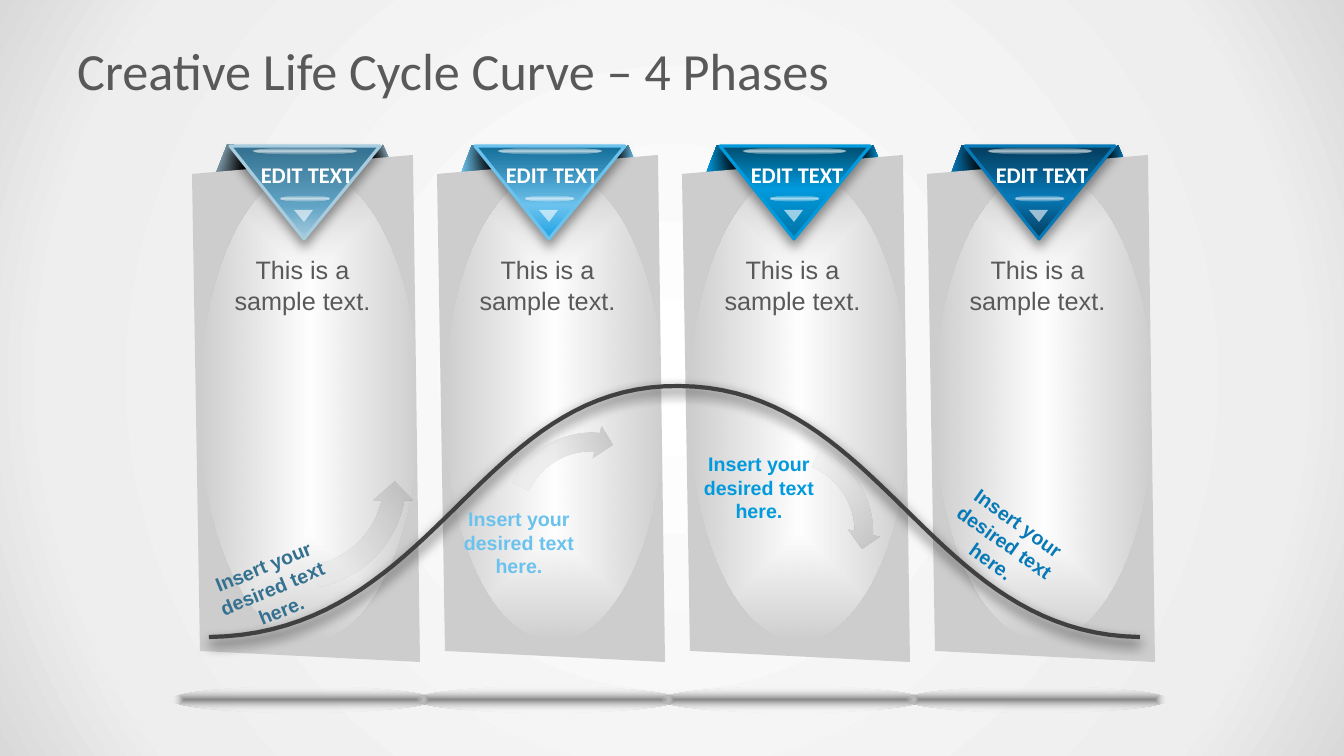
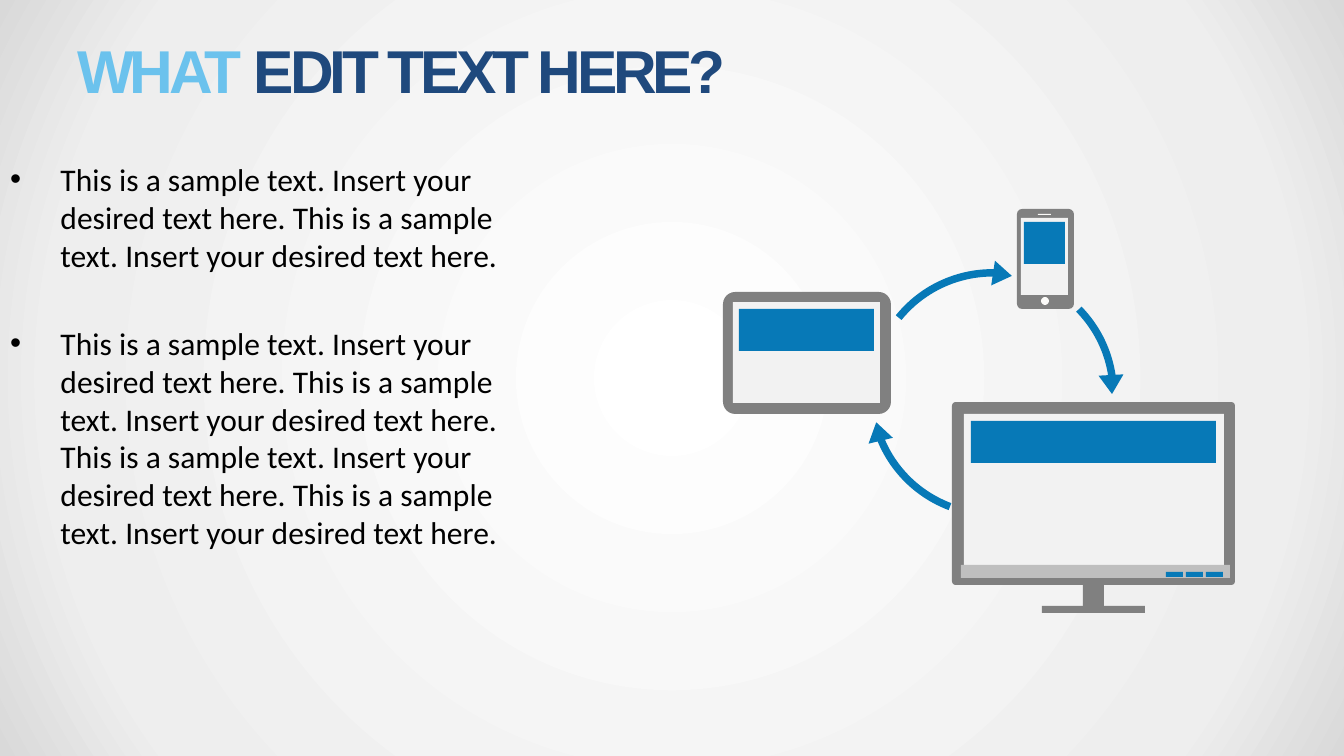
"""Build a four-phase life cycle curve slide and a connected devices slide."""
from lxml import etree
from pptx import Presentation
from pptx import util as u
from pptx.dml.color import RGBColor
from pptx.enum import shapes, text
from pptx.oxml import ns

PX = 914400 / 100.8
SHAPE = shapes.MSO_SHAPE
GREY, BLUE, SKY, PALE = "808080", "0779B7", "6BC2ED", "F2F2F2"
SAMPLE = "This is a sample text."
INSERT = "Insert your desired text here."


def paint(parent, at, stops, angle=None, path="shape"):
    """Insert a fill of (position, colour, alpha) stops: none, solid or gradient."""
    tag = ("a:noFill", "a:solidFill", "a:gradFill")[min(len(stops), 2)]
    fill = etree.Element(ns.qn(tag))
    parent.insert(at, fill)
    gradient = len(stops) > 1
    if gradient:
        gs_list = etree.SubElement(fill, ns.qn("a:gsLst"))
    for pos, colour, *alpha in stops:
        holder = fill
        if gradient:
            holder = etree.SubElement(gs_list, ns.qn("a:gs"), pos=str(pos * 1000))
        clr = etree.SubElement(holder, ns.qn("a:srgbClr"), val=colour)
        for a in alpha:
            etree.SubElement(clr, ns.qn("a:alpha"), val=str(a * 1000))
    if gradient and angle is not None:
        etree.SubElement(fill, ns.qn("a:lin"), ang=str(angle * 60000), scaled="0")
    elif gradient:
        centre = etree.SubElement(fill, ns.qn("a:path"), path=path)
        etree.SubElement(centre, ns.qn("a:fillToRect"), l="50000", t="50000", r="50000", b="50000")


def write(p, words, size, font, colour, bold=False):
    """Add one formatted run to a paragraph."""
    r = p.add_run()
    r.text = words
    r.font.size, r.font.name, r.font.bold = u.Pt(size), font, bold
    r.font.color.rgb = RGBColor.from_string(colour)
    return r


prs = Presentation()
prs.slide_width, prs.slide_height = round(1344 * PX), round(756 * PX)
master = prs.slide_master
master.background.fill.solid()
bg = master.element.find(".//" + ns.qn("p:bgPr"))
bg.remove(bg[0])
paint(bg, 0, [(0, "FFFFFF"), (81, "EEEEEE"), (100, "D9D9D9")], path="circle")

titles = [
    (5, [("Creative Life Cycle Curve – 4 Phases", 37.3, "Calibri", "595959", False, 0)]),
    (1, [("WHAT ", 43.2, "Arial", SKY, True, -300),
         ("EDIT TEXT HERE?", 43.2, "Arial", "1F497D", True, -300)]),
]
for layout, runs in titles:
    s = prs.slides.add_slide(prs.slide_layouts[layout])
    sp = s.shapes.title
    sp.left, sp.top, sp.width, sp.height = [round(v * PX) for v in (67, 30, 1210, 79)]
    tf = sp.text_frame
    tf.auto_size = text.MSO_AUTO_SIZE.NONE
    tf.vertical_anchor = text.MSO_ANCHOR.MIDDLE
    p = tf.paragraphs[0]
    p.alignment = text.PP_ALIGN.LEFT
    for *style, spacing in runs:
        r = write(p, *style)
        if spacing:
            r._r.get_or_add_rPr().set("spc", str(spacing))
curve_slide, device_slide = prs.slides

# Each piece: shapes, kind, box or points, stops, angle, extras
pieces, labels = [], []
tree = curve_slide.shapes
glow = [(0, "FFFFFF", 100), (100, "FFFFFF", 0)]
gloss = [(0, "FFFFFF", 70), (100, "FFFFFF", 0)]
phases = [
    ("A7CCDF", [(0, "34708F"), (64, "60A3C5"), (100, "A7CCDF")], 84, 20),
    (SKY, [(0, "136D99"), (64, SKY), (100, "1EA2E4")], 100, 0),
    ("019ADD", [(0, "004D6E"), (46, "019ADD"), (100, "0173A6")], 100, 0),
    (BLUE, [(0, "043C5C"), (55, BLUE), (100, "043C5C")], 100, 0),
]
for i, (accent, badge, dark, tilt) in enumerate(phases):
    dx = 245 * i
    fold = [(0, accent), (dark, "000000")]
    badge_edge = {"line": (accent, 2.25), "shadow": (40, 8, 5)}
    column = [
        ("outline", [(383, 145), (390, 161), (368, 162)], fold, 180 - tilt, {}),
        ("outline", [(227, 145), (216, 173), (250, 170), (242, 158), (234, 145)], fold, tilt, {}),
        ("outline", [(192, 174), (200, 651), (420, 662), (413, 155)], [(0, "CDCDCD")], None, {}),
        (SHAPE.OVAL, (200, 171, 218, 469), glow, None, {}),
        ("outline", [(230, 146), (380, 146), (304, 239)], badge, 90, badge_edge),
        (SHAPE.OVAL, (253, 148, 104, 7), gloss, None, {}),
        (SHAPE.OVAL, (280, 196, 50, 5), gloss, None, {}),
        ("outline", [(294, 210), (313, 210), (304, 222)], [(0, "FFFFFF", 60)], None, {}),
        (SHAPE.OVAL, (172, 687, 260, 26), [(0, GREY, 94), (100, "FFFFFF", 0)], None, {}),
    ]
    for kind, place, *look in column:
        if kind == "outline":
            place = [(x + dx, y) for x, y in place]
        else:
            place = (place[0] + dx, *place[1:])
        pieces.append((tree, kind, place, *look))
    labels += [((240 + dx, 156, 134, 37), 0, "EDIT TEXT", 16, "Calibri", "FFFFFF", True),
               ((213 + dx, 256, 179, 58), 0, SAMPLE, 18, "Arial", "595959", False)]

bends = [[(209, 637), (437, 634), (477, 384), (679, 386)],
         [(679, 386), (883, 387), (929, 634), (1140, 637)]]
curve = []
for bend in bends:
    for t in [n / 40 for n in range(41)]:
        weights = ((1 - t) ** 3, 3 * t * (1 - t) ** 2, 3 * t * t * (1 - t), t ** 3)
        curve.append([sum(k * c for k, c in zip(weights, axis)) for axis in zip(*bend)])
pieces.append((tree, "curve", curve, [], None, {"line": ("404040", 3), "shadow": (80, 9, 4)}))
for box, rot, flip in [((692, 437, 188, 188), 23.5, False), ((497, 426, 188, 188), 296.5, False),
                       ((185, 368, 229, 229), 168.9, True)]:
    pieces.append((tree, SHAPE.CIRCULAR_ARROW, box, [(16, "FFFFFF", 0), (100, GREY)], 40,
                   {"rot": rot, "flip": flip, "adj": (0.097, 7, 202.5, 161.47, 0.087)}))
for box, rot, colour in [((445, 488, 148, 109), 0, SKY), ((190, 550, 164, 76), 337.6, "34708F"),
                         ((923, 504, 164, 76), 35.4, BLUE), ((685, 433, 148, 109), 0, "019ADD")]:
    labels.append((box, rot, INSERT, 14, "Arial", colour, True))

tablet = [
    (SHAPE.ROUNDED_RECTANGLE, (723, 292, 168, 122), GREY, (0.1,)),
    (SHAPE.RECTANGLE, (733, 302, 147, 101), PALE, ()),
    (SHAPE.RECTANGLE, (739, 309, 135, 42), BLUE, ()),
]
phone = [
    (SHAPE.ROUNDED_RECTANGLE, (1017, 209, 57, 100), GREY, (0.09,)),
    (SHAPE.OVAL, (1041, 297, 8, 8), "FCFBF9", ()),
    (SHAPE.RECTANGLE, (1038, 214, 13, 1), "FCFBF9", ()),
    (SHAPE.RECTANGLE, (1021, 218, 47, 77), PALE, ()),
    (SHAPE.RECTANGLE, (1024, 222, 41, 42), BLUE, ()),
]
monitor = [
    (SHAPE.ROUNDED_RECTANGLE, (952, 402, 283, 183), GREY, (0.02,)),
    (SHAPE.RECTANGLE, (1083, 584, 21, 23), GREY, ()),
    (SHAPE.RECTANGLE, (1042, 606, 103, 7), GREY, ()),
    (SHAPE.RECTANGLE, (964, 414, 260, 158), PALE, ()),
    (SHAPE.RECTANGLE, (961, 565, 269, 13), "BFBFBF", ()),
    (SHAPE.RECTANGLE, (971, 421, 245, 42), BLUE, ()),
]
monitor += [(SHAPE.RECTANGLE, (1166 + 20 * i, 572, 17, 5), BLUE, ()) for i in range(3)]
for device in (tablet, phone, monitor):
    group = device_slide.shapes.add_group_shape().shapes
    for kind, box, colour, adj in device:
        pieces.append((group, kind, box, [(0, colour)], None, {"adj": adj}))
for adj in [(157.28, 185.7, 0.03), (6.29, 40.04, 0.03), (64.28, 88.02, 0.03)]:
    pieces.append((device_slide.shapes, SHAPE.BLOCK_ARC, (868, 269, 249, 249), [(0, BLUE)], None,
                   {"rot": 208.5, "adj": adj}))
for x, y, rot in [(866, 422, 346.4), (990, 265, 98.6), (1099, 375, 177)]:
    pieces.append((device_slide.shapes, SHAPE.ISOSCELES_TRIANGLE, (x, y, 25, 19), [(0, BLUE)], None,
                   {"rot": rot}))

for parent, kind, place, stops, angle, extras in pieces:
    if kind in ("outline", "curve"):
        points = [(x * PX, y * PX) for x, y in place]
        builder = parent.build_freeform(*points[0])
        builder.add_line_segments(points[1:], close=kind == "outline")
        sp = builder.convert_to_shape()
    else:
        sp = parent.add_shape(kind, *[round(v * PX) for v in place])
    for i, value in enumerate(extras.get("adj", ())):
        sp.adjustments[i] = value
    sp.rotation = extras.get("rot", 0)
    spPr = sp._element.spPr
    if extras.get("flip"):
        spPr.find(ns.qn("a:xfrm")).set("flipH", "1")
    paint(spPr, 2, stops, angle)
    if "line" in extras:
        colour, width = extras["line"]
        sp.line.color.rgb = RGBColor.from_string(colour)
        sp.line.width = u.Pt(width)
    else:
        sp.line.fill.background()
    sp.shadow.inherit = False
    if "shadow" in extras:
        alpha, blur, dist = extras["shadow"]
        shadow = etree.SubElement(
            spPr.find(ns.qn("a:effectLst")), ns.qn("a:outerShdw"), blurRad=str(u.Pt(blur)),
            dist=str(u.Pt(dist)), dir="5400000", algn="t", rotWithShape="0")
        clr = etree.SubElement(shadow, ns.qn("a:srgbClr"), val="000000")
        etree.SubElement(clr, ns.qn("a:alpha"), val=str(alpha * 1000))

for box, rot, *style in labels:
    sp = tree.add_textbox(*[round(v * PX) for v in box])
    sp.rotation = rot
    tf = sp.text_frame
    tf.word_wrap = True
    tf.margin_top = tf.margin_bottom = 0
    tf.vertical_anchor = text.MSO_ANCHOR.MIDDLE
    p = tf.paragraphs[0]
    p.alignment = text.PP_ALIGN.CENTER
    write(p, *style)

body = device_slide.placeholders[1]
body.left, body.top, body.width, body.height = [round(v * PX) for v in (0, 155, 538, 516)]
tf = body.text_frame
tf.auto_size = text.MSO_AUTO_SIZE.NONE
for i, repeats in enumerate((2, 4)):
    p = tf.add_paragraph() if i else tf.paragraphs[0]
    pPr = p._p.get_or_add_pPr()
    pPr.set("marL", "457200")
    pPr.set("indent", "-457200")
    p.space_before = u.Pt(36 * i)
    write(p, " ".join([SAMPLE, INSERT] * repeats), 22.5, "Calibri", "000000")

prs.save("out.pptx")
